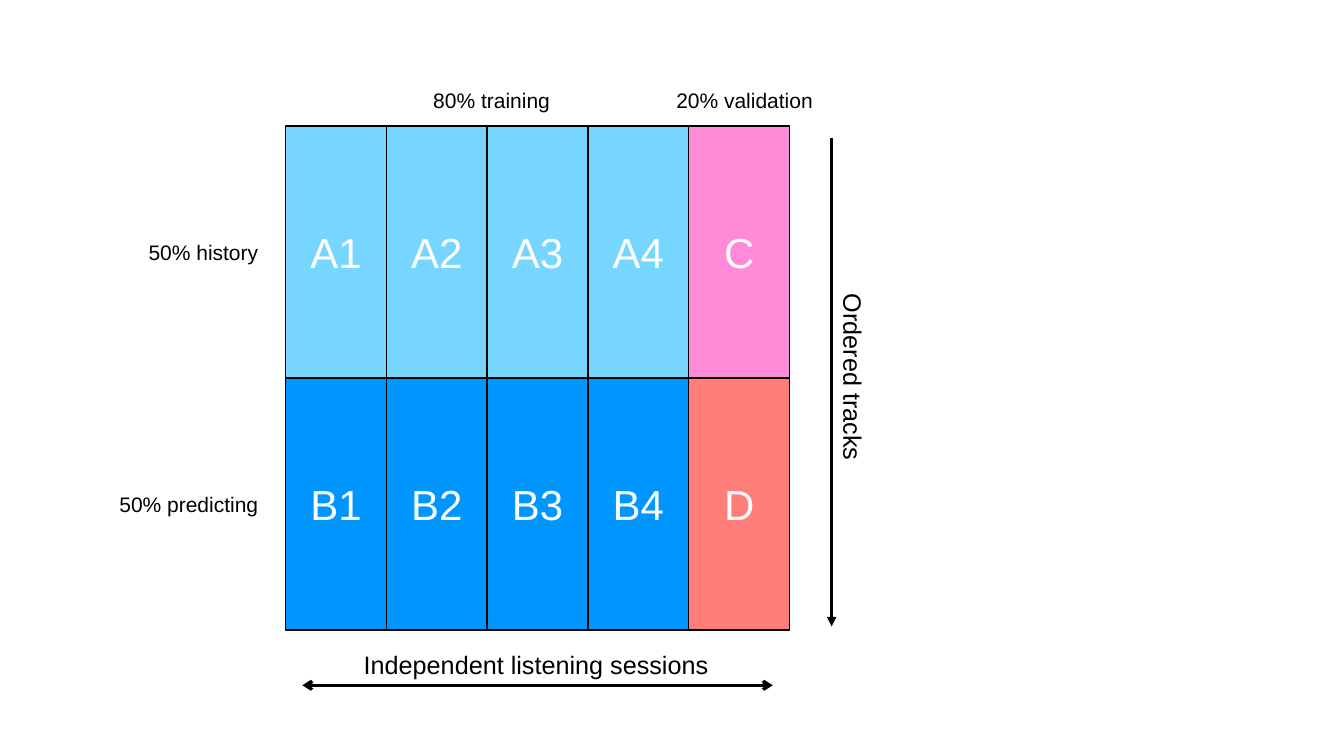
from dataclasses import dataclass
from lxml.etree import SubElement
from pptx import Presentation
from pptx.dml.color import RGBColor
from pptx.enum.shapes import MSO_CONNECTOR, MSO_SHAPE
from pptx.enum.text import MSO_ANCHOR, MSO_AUTO_SIZE, PP_ALIGN
from pptx.oxml.ns import qn
from pptx.slide import Slide
from pptx.util import Pt


def rgb(value):
    return RGBColor.from_string(value)


def write(frame, text, size, color="000000", font="Arial", align=PP_ALIGN.LEFT):
    paragraph = frame.paragraphs[0]
    paragraph.alignment = align
    run = paragraph.add_run()
    run.text = text
    run.font.size = Pt(size)
    run.font.name = font
    run.font.color.rgb = rgb(color)


@dataclass
class Diagram:
    """Draws the data split on one slide in a shared style."""
    slide: Slide
    ink: str = "000000"
    cell_ink: str = "FFFFFF"
    font: str = "Arial"

    def cell(self, text, left, top, width, height, fill):
        block = self.slide.shapes.add_shape(
            MSO_SHAPE.RECTANGLE, Pt(left), Pt(top), Pt(width), Pt(height))
        block.shadow.inherit = False
        block.fill.solid()
        block.fill.fore_color.rgb = rgb(fill)
        block.line.color.rgb = rgb(self.ink)
        block.line.width = Pt(1)
        block.text_frame.vertical_anchor = MSO_ANCHOR.MIDDLE
        write(block.text_frame, text, 30, self.cell_ink, self.font, PP_ALIGN.CENTER)

    def label(self, text, left, top, width, size=15, align=PP_ALIGN.LEFT, rotation=0):
        caption = self.slide.shapes.add_textbox(
            Pt(left), Pt(top), Pt(width), Pt(size * 1.2 + 7.2))
        caption.rotation = rotation
        caption.text_frame.word_wrap = False
        caption.text_frame.auto_size = MSO_AUTO_SIZE.SHAPE_TO_FIT_TEXT
        write(caption.text_frame, text, size, self.ink, self.font, align)

    def arrow(self, start, end, **tips):
        axis = self.slide.shapes.add_connector(
            MSO_CONNECTOR.STRAIGHT, *map(Pt, start + end))
        axis.line.color.rgb = rgb(self.ink)
        axis.line.width = Pt(2.25)
        outline = axis.line._get_or_add_ln()
        for tip, kind in tips.items():
            SubElement(outline, qn(f"a:{tip}"), type=kind)
        SubElement(axis._element.spPr, qn("a:effectLst"))


GRID_LEFT, GRID_TOP = 204, 90
CELL_WIDTH, CELL_HEIGHT = 72, 180
TRAINING_FOLDS = 4

deck = Presentation()
deck.slide_width, deck.slide_height = Pt(960), Pt(540)
diagram = Diagram(deck.slides.add_slide(deck.slide_layouts[6]))

halves = [
    ("A", "76D6FF", "C", "FF8AD8"),
    ("B", "0096FF", "D", "FF7E79"),
]
for row, (training, training_fill, validation, validation_fill) in enumerate(halves):
    sessions = [(f"{training}{fold + 1}", training_fill) for fold in range(TRAINING_FOLDS)]
    sessions.append((validation, validation_fill))
    for column, (name, fill) in enumerate(sessions):
        diagram.cell(name, GRID_LEFT + column * CELL_WIDTH,
                     GRID_TOP + row * CELL_HEIGHT, CELL_WIDTH, CELL_HEIGHT, fill)

diagram.label("80% training", 302.4, 59.2, 98.6)
diagram.label("20% validation", 476, 59.2, 113)
diagram.label("50% history", 98, 167.2, 93.6, align=PP_ALIGN.RIGHT)
diagram.label("50% predicting", 76.4, 167.2 + CELL_HEIGHT, 115.2, align=PP_ALIGN.RIGHT)
diagram.label("Ordered tracks", 542.2, 255.6, 134.6, size=18, rotation=90)
diagram.label("Independent listening sessions", 252.7, 460.3, 262.8, size=18)

diagram.arrow((594, 98.6), (594, 447.4), tailEnd="triangle")
diagram.arrow((552, 489.5), (216, 489.5), headEnd="arrow", tailEnd="arrow")

deck.save("out.pptx")
